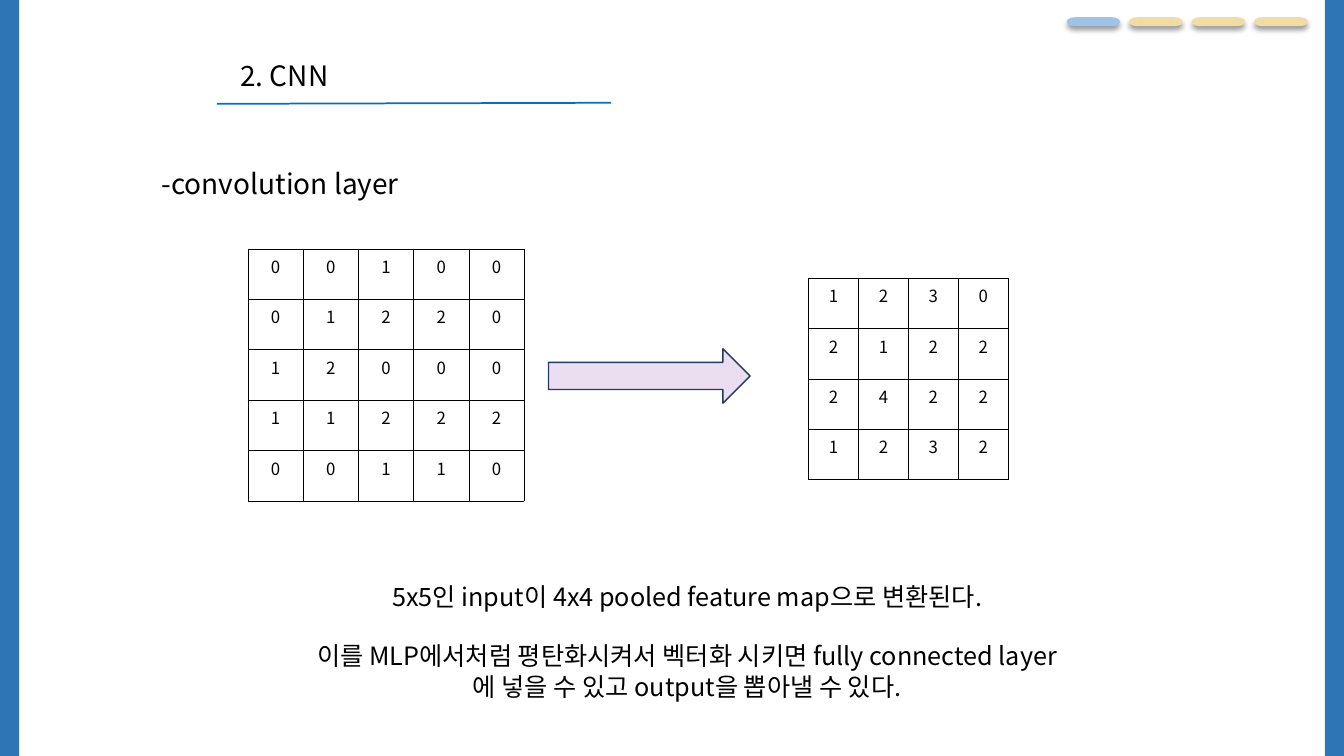
"""Build the CNN convolution layer slide."""
from dataclasses import dataclass

from lxml.etree import SubElement
from pptx import Presentation
from pptx.dml.color import RGBColor
from pptx.enum.shapes import MSO_CONNECTOR, MSO_SHAPE
from pptx.enum.text import MSO_ANCHOR, MSO_AUTO_SIZE, PP_ALIGN
from pptx.oxml import parse_xml
from pptx.oxml.ns import nsdecls, qn
from pptx.util import Inches, Pt


@dataclass(frozen=True)
class Theme:
    font: str = "Noto Sans CJK KR"
    text: str = "000000"
    bar: str = "2E75B6"
    rule: str = "0070C0"
    current: str = "9DC3E6"
    other: str = "F2DCA6"
    arrow: str = "EBDEF1"
    arrow_line: str = "223961"
    heading: int = 20
    body: int = 18
    cell: int = 12
    paragraph_gap: int = 21


class Deck:
    def __init__(self, prs, theme):
        self.theme = theme
        self.slide = prs.slides.add_slide(prs.slide_layouts[1])
        self.shapes = self.slide.shapes

    def format_text(self, tf, size):
        for p in tf.paragraphs:
            p.alignment = PP_ALIGN.CENTER
            for r in p.runs:
                r.font.size = Pt(size)
                r.font.name = self.theme.font
                r.font.color.rgb = RGBColor.from_string(self.theme.text)
                SubElement(r.font._element, qn("a:ea"), typeface=self.theme.font)

    def text(self, sp, box, text, size):
        sp.left, sp.top, sp.width, sp.height = map(Inches, box)
        tf = sp.text_frame
        tf.text = text
        tf.word_wrap = True
        tf.auto_size = MSO_AUTO_SIZE.NONE
        tf.vertical_anchor = MSO_ANCHOR.MIDDLE
        self.format_text(tf, size)
        return tf

    def title(self, box, text):
        self.text(self.shapes.title, box, text, self.theme.heading)

    def subtitle(self, box, text):
        sp = self.shapes.add_textbox(*map(Inches, box))
        self.text(sp, box, text, self.theme.heading)

    def body(self, box, lines):
        sp = self.slide.placeholders[1]
        tf = self.text(sp, box, "\n".join(lines), self.theme.body)
        for i, p in enumerate(tf.paragraphs):
            p.space_before = Pt(self.theme.paragraph_gap if i else 0)
            pPr = p._p.get_or_add_pPr()
            pPr.set("marL", "0")
            pPr.set("indent", "0")
            SubElement(pPr, qn("a:buNone"))

    def shape(self, kind, box, fill, line=None):
        sp = self.shapes.add_shape(kind, *map(Inches, box))
        sp.shadow.inherit = False
        sp.fill.solid()
        sp.fill.fore_color.rgb = RGBColor.from_string(fill)
        if line:
            sp.line.color.rgb = RGBColor.from_string(line)
            sp.line.width = Pt(1)
        else:
            sp.line.fill.background()
        return sp

    def pill(self, box, fill):
        sp = self.shape(MSO_SHAPE.FLOWCHART_TERMINATOR, box, fill)
        effects = sp._element.spPr.find(qn("a:effectLst"))
        effects.append(parse_xml(
            f'<a:outerShdw {nsdecls("a")} blurRad="{Pt(4)}" dist="{Pt(3)}" '
            'dir="5400000" algn="t" rotWithShape="0"><a:srgbClr val="000000">'
            '<a:alpha val="40000"/></a:srgbClr></a:outerShdw>'))

    def line(self, start, end, color):
        cxn = self.shapes.add_connector(
            MSO_CONNECTOR.STRAIGHT, *map(Inches, start + end))
        cxn.line.color.rgb = RGBColor.from_string(color)
        cxn.line.width = Pt(1.25)
        SubElement(cxn._element.spPr, qn("a:effectLst"))

    def matrix(self, box, rows):
        frame = self.shapes.add_table(len(rows), len(rows[0]), *map(Inches, box))
        table = frame.table
        table.first_row = table.horz_banding = False
        for i, row in enumerate(rows):
            for j, value in enumerate(row):
                cell = table.cell(i, j)
                cell.text = value
                self.format_text(cell.text_frame, self.theme.cell)
                tcPr = cell._tc.get_or_add_tcPr()
                for side in "LRTB":
                    tcPr.append(parse_xml(
                        f'<a:ln{side} {nsdecls("a")} w="{Pt(0.6)}"><a:solidFill>'
                        f'<a:srgbClr val="{self.theme.text}"/></a:solidFill>'
                        f'</a:ln{side}>'))
                cell.fill.background()


def main():
    prs = Presentation()
    prs.slide_width, prs.slide_height = Inches(13.33), Inches(7.5)
    theme = Theme()
    deck = Deck(prs, theme)

    for left in (0, 13.14):
        deck.shape(MSO_SHAPE.RECTANGLE, (left, 0, 0.19, 7.5), theme.bar)
    for i in range(4):
        fill = theme.other if i else theme.current
        deck.pill((10.58 + 0.62 * i, 0.17, 0.53, 0.09), fill)

    deck.title((1.88, 0.53, 1.88, 0.44), "2. CNN")
    deck.line((2.15, 1.03), (6.06, 1.02), theme.rule)
    deck.subtitle((1.18, 1.5, 3.2, 0.64), "-convolution layer")

    deck.matrix((2.46, 2.47, 2.74, 2.5),
                ["00100", "01220", "12000", "11222", "00110"])
    deck.shape(MSO_SHAPE.RIGHT_ARROW, (5.44, 3.46, 2, 0.54),
               theme.arrow, theme.arrow_line)
    deck.matrix((8.02, 2.76, 1.98, 2), ["1230", "2122", "2422", "1232"])

    deck.body((2.97, 5.38, 7.69, 1.96), [
        "5x5인 input이 4x4 pooled feature map으로 변환된다.",
        "이를 MLP에서처럼 평탄화시켜서 벡터화 시키면 fully connected "
        "layer에 넣을 수 있고 output을 뽑아낼 수 있다.",
    ])
    prs.save("out.pptx")


if __name__ == "__main__":
    main()
